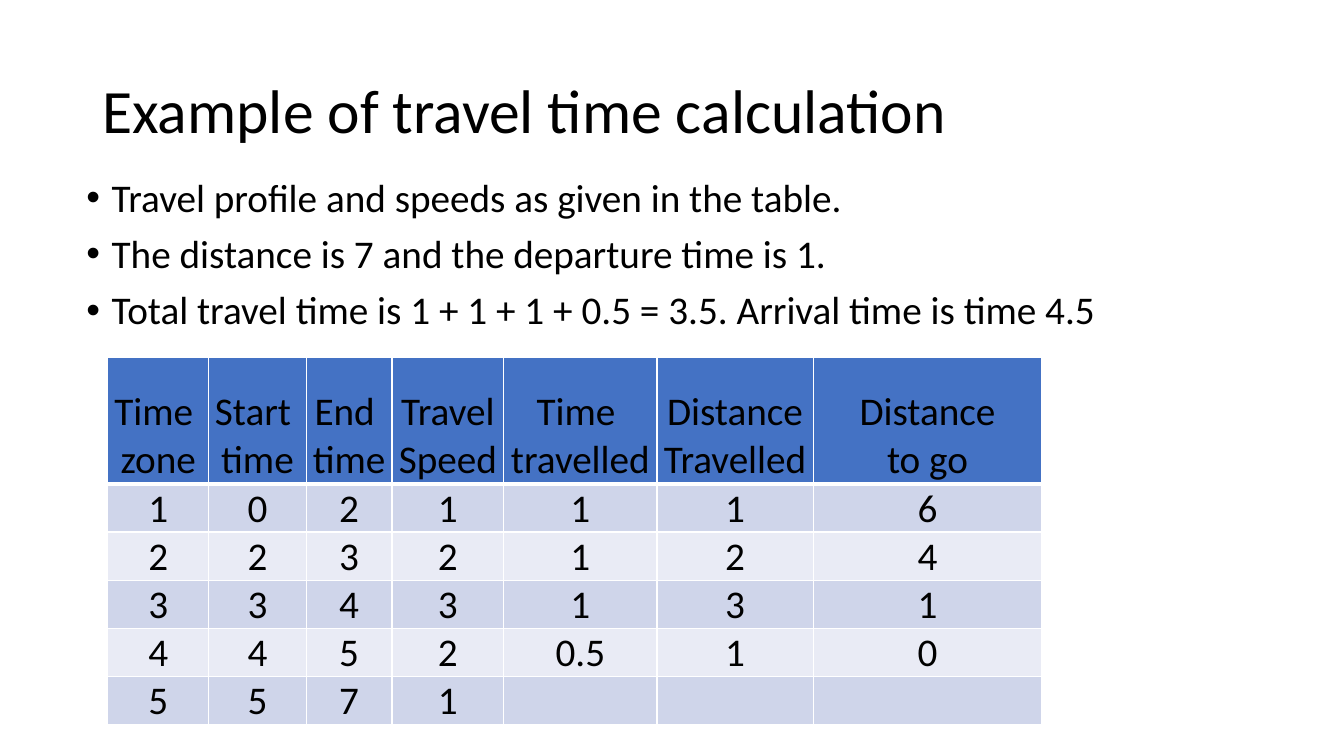
from dataclasses import dataclass

from lxml.etree import SubElement
from pptx import Presentation
from pptx.dml.color import RGBColor
from pptx.enum.text import MSO_ANCHOR, PP_ALIGN
from pptx.oxml.ns import qn
from pptx.util import Pt


@dataclass(frozen=True)
class Theme:
    font: str = "Calibri"
    title_size: int = 44
    body_size: int = 28
    text: str = "000000"
    header: str = "4472C4"
    bands: tuple = ("CFD5EA", "E9EBF5")
    border: str = "FFFFFF"


THEME = Theme()

TITLE = "Example of travel time calculation"
POINTS = [
    "Travel profile and speeds as given in the table.",
    "The distance is 7 and the departure time is 1.",
    "Total travel time is 1 + 1 + 1 + 0.5 = 3.5. Arrival time is time 4.5",
]
HEADINGS = ["Time \nzone", "Start \ntime", "End \ntime", "Travel\nSpeed",
            "Time \ntravelled", "Distance\nTravelled", "Distance\nto go"]
TRIPS = [
    ["1", "0", "2", "1", "1", "1", "6"],
    ["2", "2", "3", "2", "1", "2", "4"],
    ["3", "3", "4", "3", "1", "3", "1"],
    ["4", "4", "5", "2", "0.5", "1", "0"],
    ["5", "5", "7", "1", "", "", ""],
]
COLUMN_WIDTHS = [72, 69.8, 61.2, 79.9, 109.4, 111.6, 163.4]
HEADER_HEIGHT, TRIP_HEIGHT = 90, 34


def write(frame, lines, size=THEME.body_size, align=PP_ALIGN.LEFT,
          anchor=MSO_ANCHOR.TOP, line_spacing=None, space_before=0, bullet=None):
    frame.word_wrap = True
    frame.vertical_anchor = anchor
    for index, line in enumerate(lines):
        paragraph = frame.add_paragraph() if index else frame.paragraphs[0]
        paragraph.alignment = align
        paragraph.line_spacing = line_spacing
        paragraph.space_before = Pt(space_before)
        paragraph.font.size = Pt(size)
        if bullet:
            add_bullet(paragraph, bullet)
        if line:
            run = paragraph.add_run()
            run.text = line
            run.font.name = THEME.font
            run.font.size = Pt(size)
            run.font.color.rgb = RGBColor.from_string(THEME.text)


def add_bullet(paragraph, symbol, indent=18):
    properties = paragraph._p.get_or_add_pPr()
    properties.set("marL", str(Pt(indent)))
    properties.set("indent", str(-Pt(indent)))
    bullet_font = properties.makeelement(qn("a:buFont"), {"typeface": "Arial"})
    bullet_char = properties.makeelement(qn("a:buChar"), {"char": symbol})
    defaults = properties.find(qn("a:defRPr"))
    defaults.addprevious(bullet_font)
    defaults.addprevious(bullet_char)


def add_text(slide, left, top, width, height, lines, **text_format):
    box = slide.shapes.add_textbox(Pt(left), Pt(top), Pt(width), Pt(height))
    write(box.text_frame, lines, **text_format)


def set_borders(cell, top=1, bottom=1):
    properties = cell._tc.get_or_add_tcPr()
    for side, weight in (("L", 1), ("R", 1), ("T", top), ("B", bottom)):
        line = SubElement(properties, qn(f"a:ln{side}"), w=str(Pt(weight)))
        fill = SubElement(line, qn("a:solidFill"))
        SubElement(fill, qn("a:srgbClr"), val=THEME.border)


def fill_cell(cell, text, color, **borders):
    cell.margin_left = cell.margin_right = cell.margin_top = Pt(0.75)
    cell.margin_bottom = Pt(0)
    write(cell.text_frame, text.split("\n"), align=PP_ALIGN.CENTER)
    cell.vertical_anchor = MSO_ANCHOR.BOTTOM
    set_borders(cell, **borders)
    cell.fill.solid()
    cell.fill.fore_color.rgb = RGBColor.from_string(color)


def add_trip_table(slide, left, top):
    height = HEADER_HEIGHT + TRIP_HEIGHT * len(TRIPS)
    table = slide.shapes.add_table(
        len(TRIPS) + 1, len(HEADINGS), Pt(left), Pt(top),
        Pt(sum(COLUMN_WIDTHS)), Pt(height)).table
    for column, width in zip(table.columns, COLUMN_WIDTHS):
        column.width = Pt(width)
    for index, values in enumerate([HEADINGS, *TRIPS]):
        table.rows[index].height = Pt(TRIP_HEIGHT if index else HEADER_HEIGHT)
        color = THEME.bands[(index - 1) % 2] if index else THEME.header
        for column, value in enumerate(values):
            fill_cell(table.cell(index, column), value, color,
                      top=3 if index == 1 else 1, bottom=1 if index else 3)


def main():
    presentation = Presentation()
    presentation.slide_width = Pt(960)
    presentation.slide_height = Pt(540)
    slide = presentation.slides.add_slide(presentation.slide_layouts[6])
    add_text(slide, 66, 28.75, 828, 104.4, [TITLE], size=THEME.title_size,
             anchor=MSO_ANCHOR.MIDDLE, line_spacing=0.9)
    add_trip_table(slide, 77, 255.6)
    add_text(slide, 54.7, 123.8, 828, 342.7, POINTS,
             line_spacing=0.9, space_before=10, bullet="•")
    presentation.save("out.pptx")


if __name__ == "__main__":
    main()
